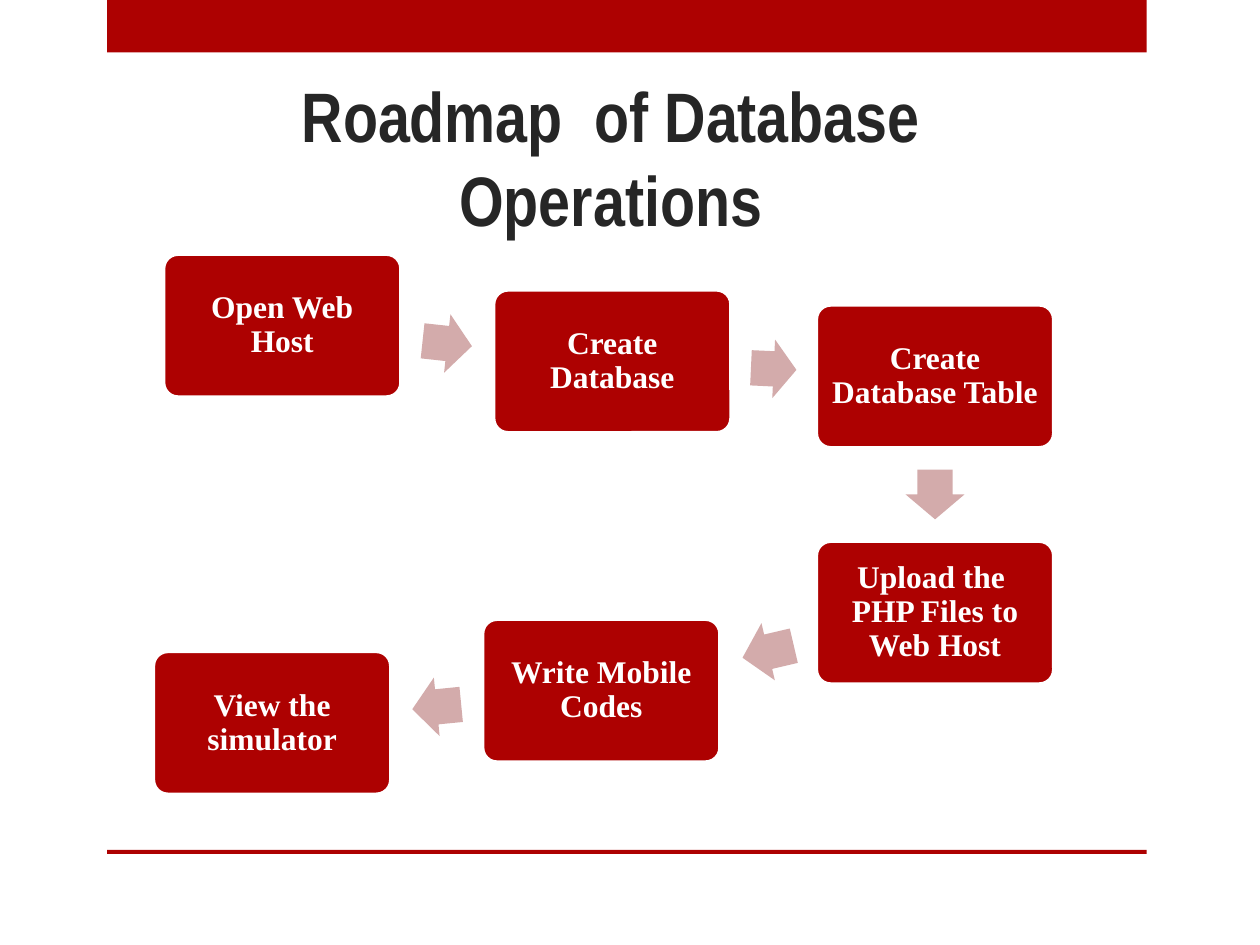
from dataclasses import dataclass
from itertools import pairwise
from math import atan2, degrees, hypot

from pptx import Presentation
from pptx.dml.color import RGBColor
from pptx.enum.shapes import MSO_SHAPE as Shape
from pptx.enum.text import MSO_ANCHOR as Anchor, PP_ALIGN as Align
from pptx.util import Pt


@dataclass(frozen=True)
class Theme:
    red: RGBColor = RGBColor.from_string("AD0101")
    pale: RGBColor = RGBColor.from_string("D3ABAB")
    dark: RGBColor = RGBColor.from_string("262626")
    white: RGBColor = RGBColor.from_string("FFFFFF")
    title_font: str = "Arial Narrow"
    step_font: str = "Times New Roman"
    title_size: int = 40
    step_size: int = 18


THEME = Theme()
CARD_W, CARD_H = 135.4, 81.4
STEPS = [
    ("Open Web Host", 93.6, 145.4),
    ("Create Database", 282.2, 165.8),
    ("Create Database Table", 466.6, 174.4),
    ("Upload the  PHP Files to Web Host", 466.6, 309.4),
    ("Write Mobile Codes", 275.9, 354),
    ("View the simulator", 87.8, 372.4),
]


def add_block(page, kind, box, fill):
    """Add a flat filled shape without outline or shadow."""
    block = page.shapes.add_shape(kind, *map(Pt, box))
    block.shadow.inherit = False
    block.fill.solid()
    block.fill.fore_color.rgb = fill
    block.line.fill.background()
    return block


def write(shape, text, anchor, inset, font, size, color, spacing=1.0):
    """Fill a shape with one centred bold paragraph."""
    frame = shape.text_frame
    margins = {f"margin_{side}": Pt(inset[i % 2])
               for i, side in enumerate(("left", "top", "right", "bottom"))}
    for name, value in {"word_wrap": True, "vertical_anchor": anchor, **margins}.items():
        setattr(frame, name, value)
    para = frame.paragraphs[0]
    para.alignment = Align.CENTER
    para.line_spacing = spacing
    span = para.add_run()
    span.text = text
    for name, value in {"name": font, "size": Pt(size), "bold": True}.items():
        setattr(span.font, name, value)
    span.font.color.rgb = color


def add_bars(page, left, top, width, height):
    """Place the thick bar at the top of the box and the thin rule at its foot."""
    rule = 2.4
    add_block(page, Shape.RECTANGLE, (left, top, width, 30), THEME.red)
    add_block(page, Shape.RECTANGLE, (left, top + height - rule, width, rule), THEME.red)


def add_title(page, text, box):
    title = page.shapes.add_textbox(*map(Pt, box))
    write(title, text, Anchor.BOTTOM, (7.2, 3.6),
          THEME.title_font, THEME.title_size, THEME.dark)


def add_card(page, text, left, top):
    card = add_block(page, Shape.ROUNDED_RECTANGLE, (left, top, CARD_W, CARD_H), THEME.red)
    card.adjustments[0] = 0.1
    card.line.color.rgb = THEME.white
    card.line.width = Pt(1.75)
    write(card, text, Anchor.MIDDLE, (5, 5),
          THEME.step_font, THEME.step_size, THEME.white, spacing=0.9)


def add_arrow(page, start, end):
    """Point an arrow from one card to the next, midway, over 53% of the gap."""
    (_, x1, y1), (_, x2, y2) = start, end
    dx, dy = x2 - x1, y2 - y1
    covered = min(size / abs(run) for size, run in ((CARD_W, dx), (CARD_H, dy)) if run)
    length, height = 0.53 * hypot(dx, dy) * (1 - covered), 33.6
    box = ((x1 + x2 + CARD_W - length) / 2, (y1 + y2 + CARD_H - height) / 2, length, height)
    arrow = add_block(page, Shape.RIGHT_ARROW, box, THEME.pale)
    arrow.adjustments[0], arrow.adjustments[1] = 0.6, 0.5
    arrow.rotation = degrees(atan2(dy, dx))


def add_roadmap(page, steps, left=0, top=0):
    placed = [(text, left + x, top + y) for text, x, y in steps]
    for step in placed:
        add_card(page, *step)
    for start, end in pairwise(placed):
        add_arrow(page, start, end)


def main():
    deck = Presentation()
    deck.slide_width, deck.slide_height = Pt(720), Pt(540)
    page = deck.slides.add_slide(deck.slide_layouts[6])
    add_bars(page, 61.2, 0, 594, 488)
    add_title(page, "Roadmap  of Database Operations", (82, 15, 534, 126))
    add_roadmap(page, STEPS)
    deck.save("out.pptx")


if __name__ == "__main__":
    main()
